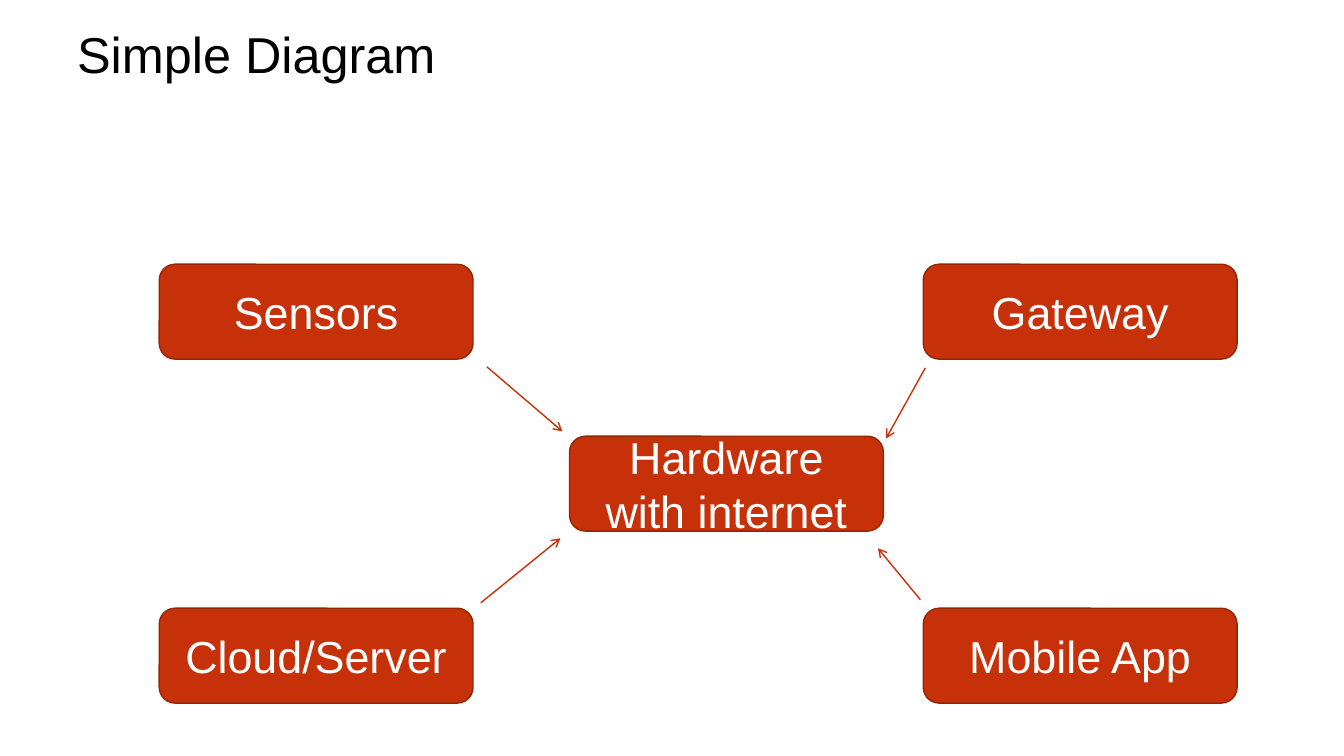
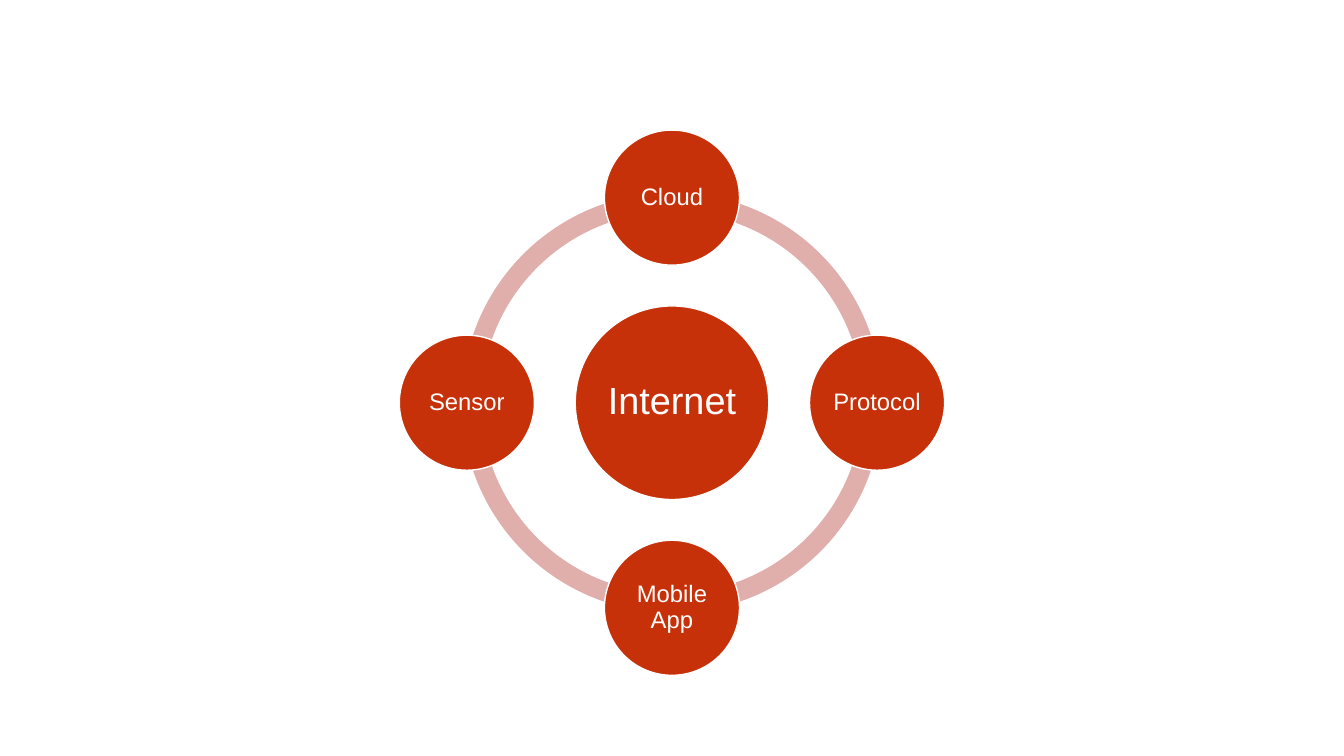
"""Build two slides on how devices link to the internet."""
from dataclasses import dataclass
from math import cos, pi, sin

from lxml.etree import SubElement
from pptx import Presentation
from pptx.dml.color import RGBColor
from pptx.enum.shapes import MSO_CONNECTOR, MSO_SHAPE
from pptx.enum.text import MSO_ANCHOR, PP_ALIGN
from pptx.oxml.ns import qn
from pptx.util import Inches, Pt


@dataclass(frozen=True)
class Theme:
    font: str = "Arial"
    ink: str = "000000"
    paper: str = "FFFFFF"
    red: str = "C73109"
    edge: str = "952507"
    pale: str = "E0AEAB"
    title: int = 36
    box: int = 32
    hub: int = 27
    node: int = 17
    line: int = 1


THEME = Theme()
WIDTH, HEIGHT = Inches(13.333), Inches(7.5)

COLS = (11.85, 42.38, 68.7)
TOP, STEP = 34.95, 22.75
BOXES = (
    ("Sensors", 0, 0),
    ("Cloud/Server", 0, 2),
    ("Hardware with internet", 1, 1),
    ("Mobile App", 2, 2),
    ("Gateway", 2, 0),
)
ARROWS = (
    (36.23, 48.53, 41.85, 57.07),
    (68.85, 48.67, 65.93, 58),
    (35.78, 79.73, 41.7, 71.2),
    (68.48, 79.33, 65.33, 72.53),
)
NODES = ("Cloud", "Protocol", "Mobile App", "Sensor")
MID = 53.27
RING, HUB, NODE, ORBIT = 55.6, 25.6, 17.87, 27.13
THICK, TURN = 0.046, 216


def across(share):
    return round(WIDTH * share / 100)


def down(share):
    return round(HEIGHT * share / 100)


def paint(shape, fill, edge=None):
    shape.shadow.inherit = False
    shape.fill.solid()
    shape.fill.fore_color.rgb = RGBColor.from_string(fill)
    if edge:
        shape.line.color.rgb = RGBColor.from_string(edge)
        shape.line.width = Pt(THEME.line)
    else:
        shape.line.fill.background()


def write(shape, text, size, color, align=PP_ALIGN.CENTER):
    frame = shape.text_frame
    frame.word_wrap = True
    frame.vertical_anchor = MSO_ANCHOR.MIDDLE
    frame.text = text
    para = frame.paragraphs[0]
    para.alignment = align
    para.font.name = THEME.font
    para.font.size = Pt(size)
    para.font.color.rgb = RGBColor.from_string(color)
    return frame


def add_title(slide, text):
    box = slide.shapes.add_textbox(across(5), down(2.8), across(90), down(8.53))
    write(box, text, THEME.title, THEME.ink, PP_ALIGN.LEFT)


def add_box(slide, text, col, row):
    box = slide.shapes.add_shape(
        MSO_SHAPE.ROUNDED_RECTANGLE, across(COLS[col]), down(TOP + row * STEP),
        across(23.35), down(12.55))
    paint(box, THEME.red, THEME.edge)
    write(box, text, THEME.box, THEME.paper)


def add_arrow(slide, x1, y1, x2, y2):
    arrow = slide.shapes.add_connector(
        MSO_CONNECTOR.STRAIGHT, across(x1), down(y1), across(x2), down(y2))
    arrow.line.color.rgb = RGBColor.from_string(THEME.red)
    arrow.line.width = Pt(THEME.line)
    SubElement(arrow.line._get_or_add_ln(), qn("a:tailEnd"), type="arrow")
    SubElement(arrow._element.spPr, qn("a:effectLst"))


def add_round(slide, kind, size, dx=0, dy=0):
    side = down(size)
    return slide.shapes.add_shape(
        kind, across(50) + down(dx) - side // 2, down(MID + dy) - side // 2,
        side, side)


def add_arc(slide, part, count):
    arc = add_round(slide, MSO_SHAPE.BLOCK_ARC, RING)
    span = TURN / count
    arc.adjustments[0] = part * span
    arc.adjustments[1] = (part + 1) * span % TURN
    arc.adjustments[2] = THICK
    paint(arc, THEME.pale)


def add_disc(slide, text, size, type_size, pad, dx=0, dy=0):
    disc = add_round(slide, MSO_SHAPE.OVAL, size, dx, dy)
    paint(disc, THEME.red, THEME.paper)
    frame = write(disc, text, type_size, THEME.paper)
    frame.paragraphs[0].line_spacing = 0.9
    frame.margin_left = frame.margin_right = Inches(pad)
    frame.margin_top = frame.margin_bottom = Inches(pad)


def draw_links(slide):
    add_title(slide, "Simple Diagram")
    for box in BOXES:
        add_box(slide, *box)
    for ends in ARROWS:
        add_arrow(slide, *ends)


def draw_ring(slide):
    count = len(NODES)
    for part in range(count):
        add_arc(slide, part, count)
    add_disc(slide, "Internet", HUB, THEME.hub, 0.04)
    for part, text in enumerate(NODES):
        angle = 2 * pi * part / count
        add_disc(slide, text, NODE, THEME.node, 0.02,
                 ORBIT * sin(angle), -ORBIT * cos(angle))


def main():
    deck = Presentation()
    deck.slide_width, deck.slide_height = WIDTH, HEIGHT
    for draw in (draw_links, draw_ring):
        draw(deck.slides.add_slide(deck.slide_layouts[6]))
    deck.save("out.pptx")


if __name__ == "__main__":
    main()
